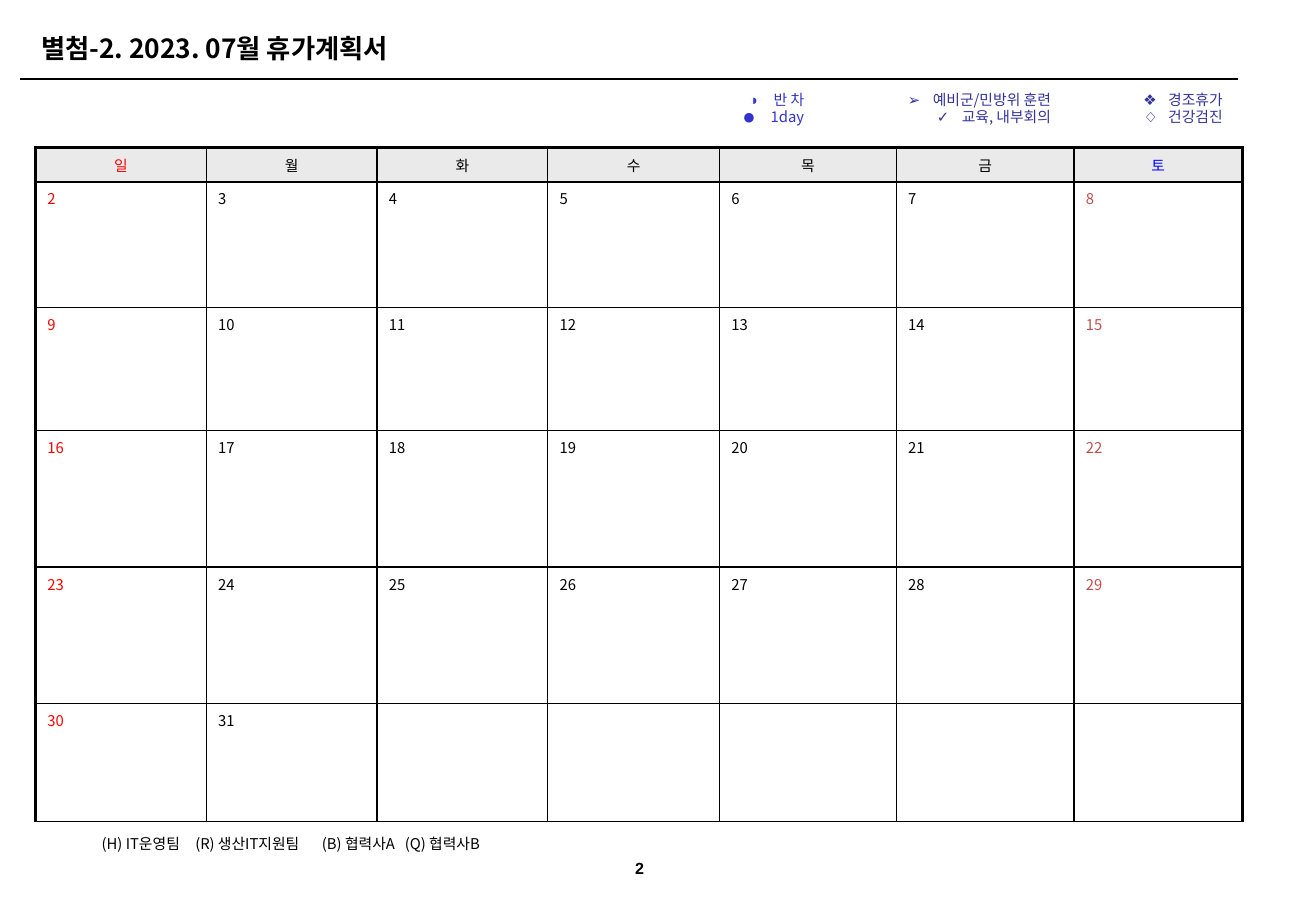
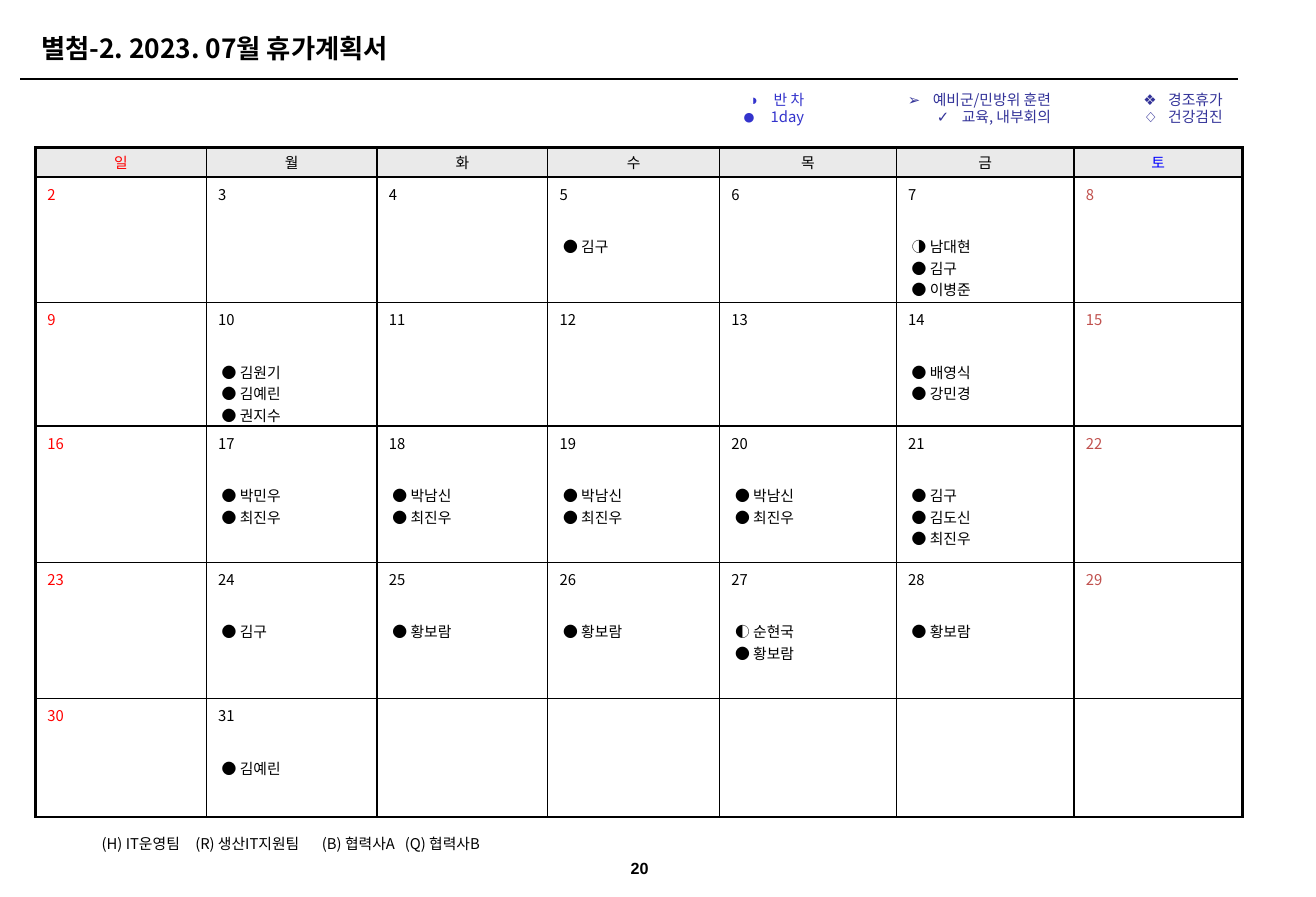
from dataclasses import dataclass

from lxml.etree import SubElement
from pptx import Presentation
from pptx.dml.color import RGBColor
from pptx.enum.shapes import MSO_CONNECTOR as Connector
from pptx.enum.text import MSO_ANCHOR as Anchor, MSO_AUTO_SIZE as AutoSize, PP_ALIGN as Align
from pptx.oxml.ns import qn
from pptx.util import Inches, Pt

FONT, NUMBER_FONT = "Noto Sans CJK KR", "Arial"
BLACK, RED, BLUE, BRICK = "000000", "FF0000", "0000FF", "C0504D"
HEADER_FILL, VIOLET, INDIGO = "EAEAEA", "3333CC", "333399"
SLIDE_WIDTH, SLIDE_HEIGHT = Inches(11.11), Inches(7.57)

TITLE = "별첨-2. 2023. 07월 휴가계획서"
TEAMS = ["(H) IT운영팀", "(R) 생산IT지원팀", "(B) 협력사A", "(Q) 협력사B"]
TEAM_TABS = [0.79, 1.86, 2.56]
WEEKDAYS = "일월화수목금토"
FIRST_DAY, LAST_DAY = 2, 31
COLUMN_WEIGHTS = [1.44, 1.44, 1.44, 1.45, 1.49, 1.5, 1.42]
WEEK_WEIGHTS = [1.06, 1.04, 1.15, 1.15, 1.0]
LEGEND = [
    (0, 0.22, VIOLET, [("◑", "반 차", 100, 0.21), ("●", "1day", 150, 0.24)]),
    (0.22, 0.68, INDIGO, [("➢", "예비군/민방위 훈련", 100, 0.21), ("✓", "교육, 내부회의", 100, 0.21)]),
    (0.68, 1, INDIGO, [("❖", "경조휴가", 100, 0.21), ("◇", "건강검진", 100, 0.21)]),
]
LEAVES = {
    5: ["● 김구"],
    7: ["◑ 남대현", "● 김구", "● 이병준"],
    10: ["● 김원기", "● 김예린", "● 권지수"],
    14: ["● 배영식", "● 강민경"],
    17: ["● 박민우", "● 최진우"],
    **{day: ["● 박남신", "● 최진우"] for day in (18, 19, 20)},
    21: ["● 김구", "● 김도신", "● 최진우"],
    24: ["● 김구"],
    **{day: ["● 황보람"] for day in (25, 26, 28)},
    27: ["◐ 순현국", "● 황보람"],
    31: ["● 김예린"],
}


@dataclass
class Box:
    """A region in percent of the slide's width and height."""
    left: float
    top: float
    width: float
    height: float

    def place(self):
        """Return left, top, width and height as slide lengths."""
        return (int(SLIDE_WIDTH * self.left / 100), int(SLIDE_HEIGHT * self.top / 100),
                int(SLIDE_WIDTH * self.width / 100), int(SLIDE_HEIGHT * self.height / 100))

    def slice(self, start, end):
        """Return the part between two shares of the width."""
        return Box(self.left + self.width * start, self.top, self.width * (end - start), self.height)


TITLE_BOX = Box(2.25, 2.91, 89.11, 4.89)
RULE_BOX = Box(1.53, 8.8, 92.53, 0)
LEGEND_BOX = Box(53.02, 9.64, 40.77, 5.28)
CALENDAR_BOX = Box(2.7, 16.45, 91.72, 74.64)
TEAMS_BOX = Box(6.84, 92.47, 31.5, 3.17)
NUMBER_BOX = Box(46.17, 94.72, 4.86, 4.1)


def color(value):
    """Turn a hex string into a colour."""
    return RGBColor.from_string(value)


def style(para, size, value, bold=False, font=FONT):
    """Format every run of a paragraph."""
    for span in para.runs:
        span.font.size = Pt(size)
        span.font.bold = bold
        span.font.name = font
        span.font.color.rgb = color(value)
        SubElement(span.font._element, qn("a:ea"), typeface=font)


def add_bullet(para, symbol, value, percent, indent):
    """Give a paragraph a coloured hanging bullet."""
    props = para._p.get_or_add_pPr()
    props.set("marL", str(Inches(indent)))
    props.set("indent", str(-Inches(indent)))
    SubElement(SubElement(props, qn("a:buClr")), qn("a:srgbClr"), val=value)
    SubElement(props, qn("a:buSzPct"), val=str(percent * 1000))
    SubElement(props, qn("a:buFont"), typeface=NUMBER_FONT)
    SubElement(props, qn("a:buChar"), char=symbol)


def add_text(page, box, anchor=Anchor.MIDDLE):
    """Add a wrapping text box and return its frame."""
    frame = page.shapes.add_textbox(*box.place()).text_frame
    frame.word_wrap = True
    frame.vertical_anchor = anchor
    return frame


def draw_heading(page, box, rule):
    """Fill the title placeholder and draw the rule below it."""
    title = page.shapes.title
    title.left, title.top, title.width, title.height = box.place()
    frame = title.text_frame
    frame.text = TITLE
    frame.auto_size = AutoSize.NONE
    frame.vertical_anchor = Anchor.MIDDLE
    frame.paragraphs[0].alignment = Align.LEFT
    style(frame.paragraphs[0], 16, BLACK, bold=True)
    left, top, width, _ = rule.place()
    line = page.shapes.add_connector(Connector.STRAIGHT, left, top, left + width, top)
    line.line.color.rgb = color(BLACK)
    line.line.width = Pt(1.5)
    SubElement(line._element.spPr, qn("a:effectLst"))


def draw_legend(page, box):
    """Place the three groups of leave symbols side by side."""
    for start, end, value, items in LEGEND:
        frame = add_text(page, box.slice(start, end), Anchor.TOP)
        frame.text = "\n".join(item[1] for item in items)
        for para, (symbol, _, percent, indent) in zip(frame.paragraphs, items):
            add_bullet(para, symbol, value, percent, indent)
            para.alignment = Align.RIGHT
            para.line_spacing = 0.95
            style(para, 9, value)


def set_borders(cell, widths):
    """Draw the left, right, top and bottom borders of a cell."""
    props = cell._tc.get_or_add_tcPr()
    for side, width in zip("LRTB", widths):
        line = SubElement(props, qn(f"a:ln{side}"), w=str(Pt(width)))
        fill = SubElement(line, qn("a:solidFill"))
        SubElement(fill, qn("a:srgbClr"), val=BLACK)


def fill_weekday(cell, name, value):
    """Write a weekday into its header cell."""
    cell.fill.solid()
    cell.fill.fore_color.rgb = color(HEADER_FILL)
    cell.vertical_anchor = Anchor.MIDDLE
    cell.margin_top = cell.margin_bottom = Inches(0.03)
    cell.text_frame.text = name
    cell.text_frame.paragraphs[0].alignment = Align.CENTER
    style(cell.text_frame.paragraphs[0], 9, value)


def fill_day(cell, day, value, names):
    """Write a date and the people on leave into a day cell."""
    cell.fill.background()
    cell.margin_bottom = 0
    if day > LAST_DAY:
        return
    cell.text_frame.text = "\n".join([str(day), *names])
    date, *people = cell.text_frame.paragraphs
    style(date, 9, value)
    for para in people:
        para._p.get_or_add_pPr().set("marL", str(Inches(0.03)))
        style(para, 9, BLACK)
    if people:
        people[0].space_before = Pt(18.8)


def draw_calendar(page, box, header_weight, leaves):
    """Draw the month as a table with a header row and five weeks."""
    _, _, width, height = box.place()
    days = len(WEEKDAYS)
    table = page.shapes.add_table(len(WEEK_WEIGHTS) + 1, days, *box.place()).table
    table.first_row = table.horz_banding = False
    for column, weight in zip(table.columns, COLUMN_WEIGHTS):
        column.width = int(width * weight / sum(COLUMN_WEIGHTS))
    unit = height / (sum(WEEK_WEIGHTS) + 0.25)
    for row, weight in zip(table.rows, [header_weight, *WEEK_WEIGHTS]):
        row.height = int(unit * weight)
    for index, cell in enumerate(table.iter_cells()):
        week, weekday = divmod(index, days)
        first, last = weekday == 0, weekday == days - 1
        set_borders(cell, [2 if first else 1, 2 if last else 1, 1 if week else 2, 1])
        if week == 0:
            fill_weekday(cell, WEEKDAYS[weekday], RED if first else BLUE if last else BLACK)
        else:
            day = FIRST_DAY + index - days
            fill_day(cell, day, RED if first else BRICK if last else BLACK, leaves.get(day, []))


def draw_footer(page, teams_box, number_box, number):
    """Write the team key and the page number."""
    para = add_text(page, teams_box).paragraphs[0]
    para.text = "\t".join(TEAMS)
    tabs = SubElement(para._p.get_or_add_pPr(), qn("a:tabLst"))
    for position in TEAM_TABS:
        SubElement(tabs, qn("a:tab"), pos=str(Inches(position)), algn="l")
    style(para, 9, BLACK)
    para = add_text(page, number_box).paragraphs[0]
    para.text = str(number)
    para.alignment = Align.CENTER
    style(para, 9.8, BLACK, bold=True, font=NUMBER_FONT)


def draw_page(deck, number, header_weight, leaves):
    """Add one leave calendar page."""
    page = deck.slides.add_slide(deck.slide_layouts[5])
    draw_heading(page, TITLE_BOX, RULE_BOX)
    draw_legend(page, LEGEND_BOX)
    draw_calendar(page, CALENDAR_BOX, header_weight, leaves)
    draw_footer(page, TEAMS_BOX, NUMBER_BOX, number)


def main():
    """Build the blank calendar and the filled one."""
    deck = Presentation()
    deck.slide_width, deck.slide_height = SLIDE_WIDTH, SLIDE_HEIGHT
    draw_page(deck, 2, 0.29, {})
    draw_page(deck, 20, 0.25, LEAVES)
    deck.save("out.pptx")


if __name__ == "__main__":
    main()
